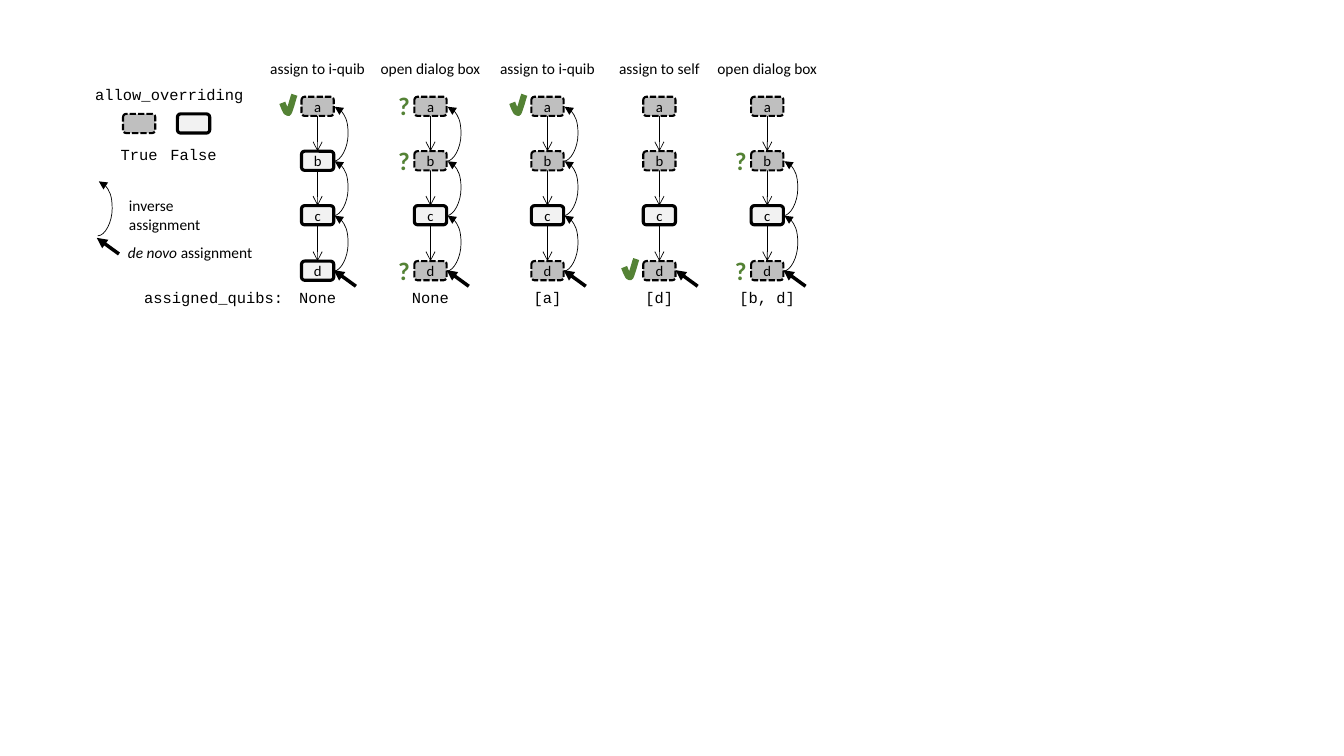
"""Build the slide that shows how assignments travel back through chains of quibs."""
from pptx import Presentation
from pptx.dml.color import RGBColor
from pptx.enum.dml import MSO_LINE
from pptx.enum.shapes import MSO_CONNECTOR, MSO_SHAPE
from pptx.enum.text import MSO_ANCHOR, MSO_AUTO_SIZE, PP_ALIGN
from pptx.oxml.ns import qn
from pptx.util import Inches, Pt
from lxml import etree

DASH = MSO_LINE.SQUARE_DOT
STRAIGHT, CURVE = MSO_CONNECTOR.STRAIGHT, MSO_CONNECTOR.CURVE
ROUNDED = MSO_SHAPE.ROUNDED_RECTANGLE
MIDDLE, FIT = MSO_ANCHOR.MIDDLE, MSO_AUTO_SIZE.SHAPE_TO_FIT_TEXT
LEFT, CENTER = PP_ALIGN.LEFT, PP_ALIGN.CENTER
SANS, MONO = "Calibri", "Courier New"
COLORS = {name: RGBColor.from_string(value) for name, value in {
    "black": "000000", "allowed": "BFBFBF", "blocked": "F2F2F2", "green": "548235"}.items()}
BOX_WIDTH, BOX_HEIGHT = 0.32, 0.19
ROW_TOPS = [0.96, 1.5, 2.04, 2.59]

presentation = Presentation()
presentation.slide_width, presentation.slide_height = Inches(13.33), Inches(7.5)
slide = presentation.slides.add_slide(presentation.slide_layouts[6])
shapes = slide.shapes


def add_text(text, left, top, width, height=0.29, font=SANS, size=11, color="black", align=CENTER):
    box = shapes.add_textbox(Inches(left), Inches(top), Inches(width), Inches(height))
    frame = box.text_frame
    frame.text = text
    frame.word_wrap = False
    frame.auto_size = FIT
    for paragraph in frame.paragraphs:
        paragraph.alignment = align
        paragraph.font.name = font
        paragraph.font.size = Pt(size)
        paragraph.font.color.rgb = COLORS[color]
    return frame.paragraphs[0]


def add_arrow(start, end, weight, head="triangle", kind=STRAIGHT):
    arrow = shapes.add_connector(kind, *map(Inches, start + end))
    arrow.line.color.rgb = COLORS["black"]
    arrow.line.width = Pt(weight)
    etree.SubElement(arrow.get_or_add_ln(), qn("a:tailEnd"), type=head)
    properties = arrow.element.spPr
    etree.SubElement(properties, qn("a:effectLst"))
    if kind == CURVE:
        adjustments = properties.find(".//" + qn("a:avLst"))
        etree.SubElement(adjustments, qn("a:gd"), name="adj1", fmla="val 1450000")


# caption, caption width, centre, allowed quibs, assigned quibs, inverse targets, ticks, questions
COLUMNS = [
    ("assign to i-quib", 1.14, 3.15, "a", "None", [2, 1, 0], [0], []),
    ("open dialog box", 1.2, 4.27, "abd", "None", [2, 1, 0], [], [0, 1, 3]),
    ("assign to i-quib", 1.14, 5.43, "abd", "[a]", [2, 1, 0], [0], []),
    ("assign to self", 1.0, 6.54, "abd", "[d]", [], [3], []),
    ("open dialog box", 1.2, 7.61, "abd", "[b, d]", [2, 1], [], [1, 3]),
]

boxes = [("", 1.38, 1.13, True), ("", 1.92, 1.13, False)]
curves = [(0.97, 2.34, 1.8)]
new_assignments = [(0.96, 2.36)]
mono_labels = [("assigned_quibs:", 2.12, 2.81), ("allow_overriding", 1.68, 0.8),
               ("True", 1.38, 1.39), ("False", 1.92, 1.39)]
ticks = []

for caption, caption_width, center, allowed, assigned, targets, tick_rows, questions in COLUMNS:
    add_text(caption, center - caption_width / 2, 0.54, caption_width)
    mono_labels.append((assigned, center, 2.81))
    boxes += [(name, center, top, name in allowed) for name, top in zip("abcd", ROW_TOPS)]
    for upper, lower in zip(ROW_TOPS, ROW_TOPS[1:]):
        add_arrow((center, upper + BOX_HEIGHT), (center, lower), 0.5, "arrow")
    curves += [(center + 0.16, ROW_TOPS[row + 1] + 0.1, ROW_TOPS[row] + 0.1) for row in targets]
    new_assignments.append((center + 0.16, 2.68))
    ticks += [(center - 0.35, ROW_TOPS[row] - 0.02) for row in tick_rows]
    for row in questions:
        question = add_text("?", center - 0.42, ROW_TOPS[row] - 0.11, 0.32, 0.4,
                            size=18, color="green", align=LEFT)
        question.font.bold = True

for name, center, top, is_allowed in boxes:
    box = shapes.add_shape(ROUNDED, Inches(center - BOX_WIDTH / 2), Inches(top),
                           Inches(BOX_WIDTH), Inches(BOX_HEIGHT))
    box.shadow.inherit = False
    box.fill.solid()
    box.fill.fore_color.rgb = COLORS["allowed" if is_allowed else "blocked"]
    box.line.color.rgb = COLORS["black"]
    box.line.width = Pt(1.5 if is_allowed else 2.25)
    if is_allowed:
        box.line.dash_style = DASH
    if name:
        frame = box.text_frame
        frame.text = name
        frame.margin_left = frame.margin_right = 0
        frame.vertical_anchor = MIDDLE
        paragraph = frame.paragraphs[0]
        paragraph.alignment = CENTER
        paragraph.font.name = SANS
        paragraph.font.size = Pt(10.5)
        paragraph.font.color.rgb = COLORS["black"]

for x, start_y, end_y in curves:
    add_arrow((x, start_y), (x + 0.01, end_y), 0.5, kind=CURVE)

for x, y in new_assignments:
    add_arrow((x + 0.22, y + 0.16), (x, y), 2.5)

for text, center, top in mono_labels:
    width = 0.2 + 0.092 * len(text)
    add_text(text, center - width / 2, top, width, font=MONO)

TICK_POINTS = [(0, 0.08), (0.02, 0.13), (0.04, 0.17), (0.06, 0.18),
               (0.07, 0.16), (0.09, 0.1), (0.11, 0.03), (0.12, 0)]
for left, top in ticks:
    points = [(Inches(left + x), Inches(top + y)) for x, y in TICK_POINTS]
    builder = shapes.build_freeform(*points[0], scale=1.0)
    builder.add_line_segments(points[1:], close=False)
    tick = builder.convert_to_shape()
    tick.shadow.inherit = False
    tick.fill.background()
    tick.line.color.rgb = COLORS["green"]
    tick.line.width = Pt(4.5)

add_text("inverse\nassignment", 1.18, 1.9, 0.91, 0.47, align=LEFT)
new_legend = add_text("de novo ", 1.17, 2.36, 1.44, align=LEFT)
new_legend.runs[0].font.italic = True
new_legend.add_run().text = "assignment"

presentation.save("out.pptx")
